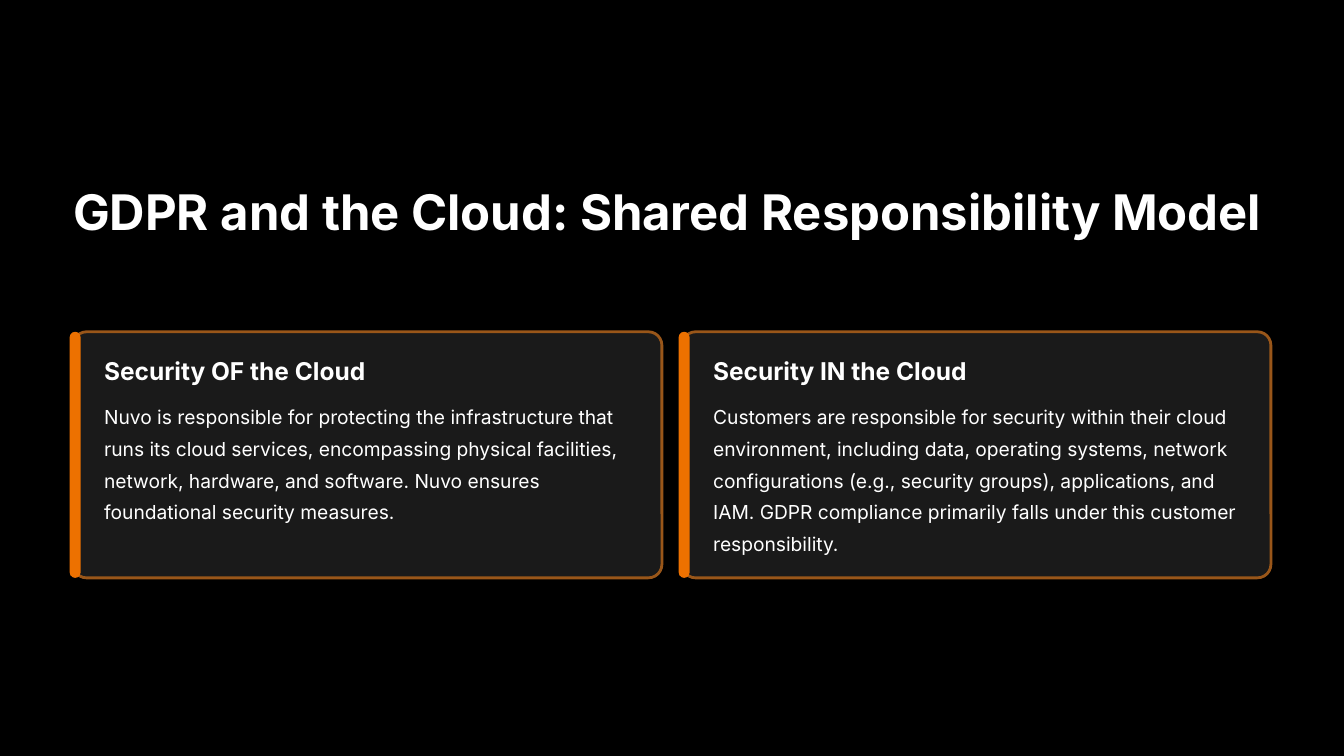
from pptx import Presentation
from pptx.dml.color import RGBColor
from pptx.enum.shapes import MSO_SHAPE
from pptx.util import Inches, Pt

deck = Presentation()
deck.slide_width, deck.slide_height = Inches(16), Inches(9)
slide = deck.slides.add_slide(deck.slide_layouts[6])
slide.background.fill.solid()
slide.background.fill.fore_color.rgb = RGBColor.from_string("000000")


def panel(left, width, round_by, fill, edge=None):
    box = slide.shapes.add_shape(
        MSO_SHAPE.ROUNDED_RECTANGLE, Inches(left), Inches(top), Inches(width), Inches(high)
    )
    box.adjustments[0] = round_by
    box.shadow.inherit = False
    box.fill.solid()
    box.fill.fore_color.rgb = RGBColor.from_string(fill)
    if edge:
        box.line.color.rgb = RGBColor.from_string(edge)
        box.line.width = Pt(2.4)
    else:
        box.line.fill.background()


def label(words, left, top, width, height, size, pitch, bold=False, wrap=True):
    box = slide.shapes.add_textbox(Inches(left), Inches(top), Inches(width), Inches(height))
    frame = box.text_frame
    frame.margin_left = frame.margin_right = frame.margin_top = frame.margin_bottom = 0
    frame.word_wrap = wrap
    frame.text = words
    para = frame.paragraphs[0]
    para.line_spacing = Pt(pitch)
    font = para.runs[0].font
    font.name, font.size, font.bold = "Inter", Pt(size), bold
    font.color.rgb = RGBColor.from_string("FFFFFF")


edge, gap = 0.87, 0.24
span = 16 - 2 * edge
wide = (span - gap) / 2
top, high = 3.95, 2.93
inset = 0.37

label("GDPR and the Cloud: Shared Responsibility Model", edge, 2.12, span, 1.47, 42, 53, True)

cards = [
    (
        "Security OF the Cloud",
        "Nuvo is responsible for protecting the infrastructure that runs its cloud services, "
        "encompassing physical facilities, network, hardware, and software. Nuvo ensures "
        "foundational security measures.",
    ),
    (
        "Security IN the Cloud",
        "Customers are responsible for security within their cloud environment, including data, "
        "operating systems, network configurations (e.g., security groups), applications, and "
        "IAM. GDPR compliance primarily falls under this customer responsibility.",
    ),
]
for col, (head, body) in enumerate(cards):
    left = edge + col * (wide + gap)
    panel(left, wide, 0.055, "1A1A1A", "995619")
    panel(left - 0.04, 0.13, 0.5, "ED7100")
    label(head, left + inset, top + 0.27, 3.14, 0.37, 21, 26.5, True, False)
    label(body, left + inset, top + 0.78, 6.38, 1.89, 16.5, 27)

deck.save("out.pptx")
